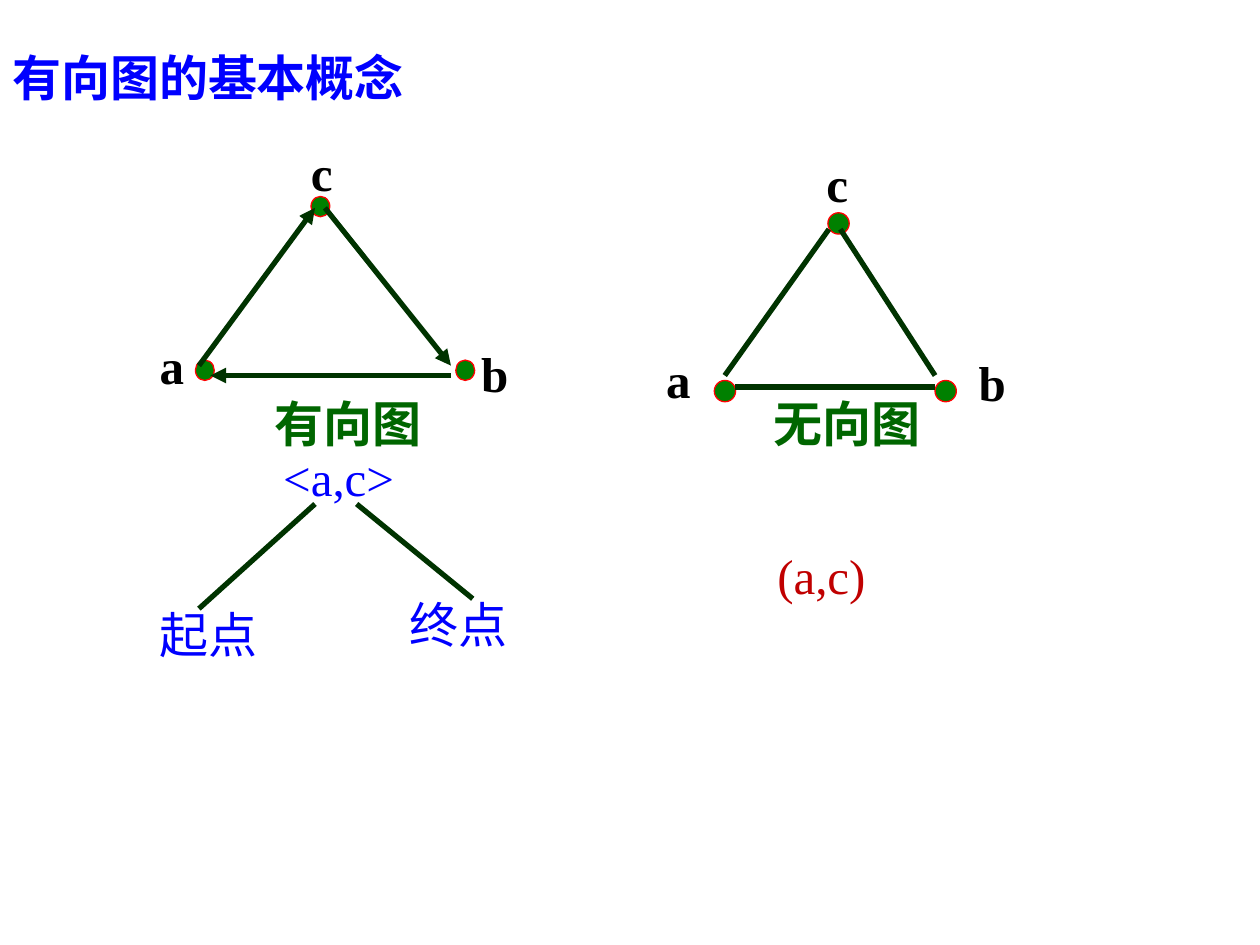
from dataclasses import dataclass

from lxml import etree
from pptx import Presentation
from pptx.dml.color import RGBColor
from pptx.enum.shapes import MSO_CONNECTOR, MSO_SHAPE
from pptx.enum.text import MSO_AUTO_SIZE
from pptx.oxml.ns import qn
from pptx.slide import Slide
from pptx.util import Cm, Pt

STRAIGHT = MSO_CONNECTOR.STRAIGHT
OVAL = MSO_SHAPE.OVAL
GROW = MSO_AUTO_SIZE.SHAPE_TO_FIT_TEXT
FONT = "Times New Roman"
HIGH = 1.45
COLORS = {
    "black": "000000",
    "blue": "0000FF",
    "green": "006600",
    "red": "C00000",
    "edge": "003300",
    "node": "008000",
    "rim": "FF0000",
}


@dataclass
class Label:
    text: str
    left: float
    top: float
    width: float
    color: str = "black"
    bold: bool = True
    wrap: bool = False


@dataclass
class Node:
    left: float
    top: float
    width: float
    height: float


@dataclass
class Edge:
    start: tuple[float, float]
    end: tuple[float, float]
    arrow: bool = False


NODES = [
    *(Node(x, y, 0.38, 0.41) for x, y in ((9.19, 7.26), (3.94, 7.26), (6.27, 3.96))),
    *(Node(x, y, 0.43, 0.43) for x, y in ((18.85, 7.67), (14.4, 7.67), (16.69, 4.29))),
]
EDGES = [
    Edge((4.01, 7.37), (6.35, 4.19), True),
    Edge((6.55, 4.19), (9.09, 7.37), True),
    Edge((9.09, 7.57), (4.24, 7.57), True),
    Edge((6.35, 10.16), (4.01, 12.27)),
    Edge((7.19, 10.16), (9.53, 12.07)),
    Edge((14.61, 7.57), (16.71, 4.62)),
    Edge((16.94, 4.62), (18.85, 7.57)),
    Edge((14.81, 7.8), (18.85, 7.8)),
]
LABELS = [
    Label("有向图的基本概念", 0, 0.84, 10.8, "blue", wrap=True),
    Label("c", 6.02, 2.74, 0.94),
    Label("a", 2.97, 6.63, 1.02),
    Label("b", 9.45, 6.81, 0.99),
    Label("有向图", 5.28, 7.8, 3.53, "green"),
    Label("<a,c>", 5.46, 8.89, 3.63, "blue", False, True),
    Label("起点", 2.97, 12.07, 3, "blue", False, True),
    Label("终点", 8, 11.86, 3, "blue", False, True),
    Label("c", 16.41, 2.97, 0.94),
    Label("a", 13.18, 6.93, 1.02),
    Label("b", 19.48, 6.99, 1.07),
    Label("无向图", 15.34, 7.8, 3.53, "green"),
    Label("(a,c)", 15.42, 10.87, 3.63, "red", False, True),
]


def shade(name: str) -> RGBColor:
    """Look up a named colour."""
    return RGBColor.from_string(COLORS[name])


def add_node(slide: Slide, node: Node) -> None:
    """Draw one graph vertex."""
    dot = slide.shapes.add_shape(
        OVAL, Cm(node.left), Cm(node.top), Cm(node.width), Cm(node.height)
    )
    dot.shadow.inherit = False
    dot.fill.solid()
    dot.fill.fore_color.rgb = shade("node")
    dot.line.color.rgb = shade("rim")
    dot.line.width = Pt(0.75)


def add_edge(slide: Slide, edge: Edge) -> None:
    """Draw one line, with an arrowhead if directed."""
    ends = [Cm(value) for value in (*edge.start, *edge.end)]
    link = slide.shapes.add_connector(STRAIGHT, *ends)
    link.line.color.rgb = shade("edge")
    link.line.width = Pt(3)
    if edge.arrow:
        line = link.line._get_or_add_ln()
        etree.SubElement(line, qn("a:tailEnd"), type="triangle")
    etree.SubElement(link._element.spPr, qn("a:effectLst"))


def add_label(slide: Slide, label: Label) -> None:
    """Write one line of text."""
    box = slide.shapes.add_textbox(
        Cm(label.left), Cm(label.top), Cm(label.width), Cm(HIGH)
    )
    frame = box.text_frame
    frame.word_wrap = label.wrap
    frame.auto_size = GROW
    run = frame.paragraphs[0].add_run()
    run.text = label.text
    run.font.name = FONT
    run.font.size = Pt(28)
    run.font.bold = label.bold
    run.font.color.rgb = shade(label.color)


def main() -> None:
    """Build the slide on directed and undirected graphs."""
    deck = Presentation()
    deck.slide_width, deck.slide_height = Cm(25.4), Cm(19.05)
    slide = deck.slides.add_slide(deck.slide_layouts[6])
    for node in NODES:
        add_node(slide, node)
    for edge in EDGES:
        add_edge(slide, edge)
    for label in LABELS:
        add_label(slide, label)
    deck.save("out.pptx")


if __name__ == "__main__":
    main()
